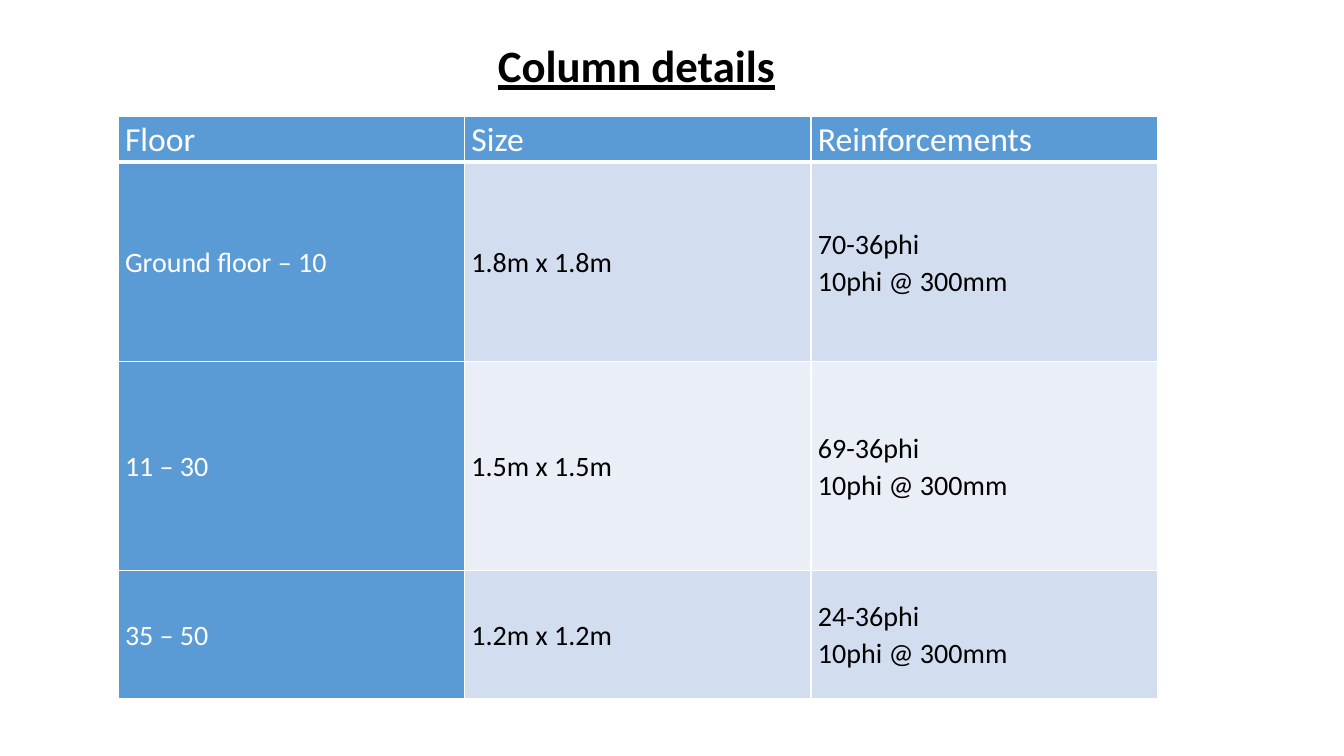
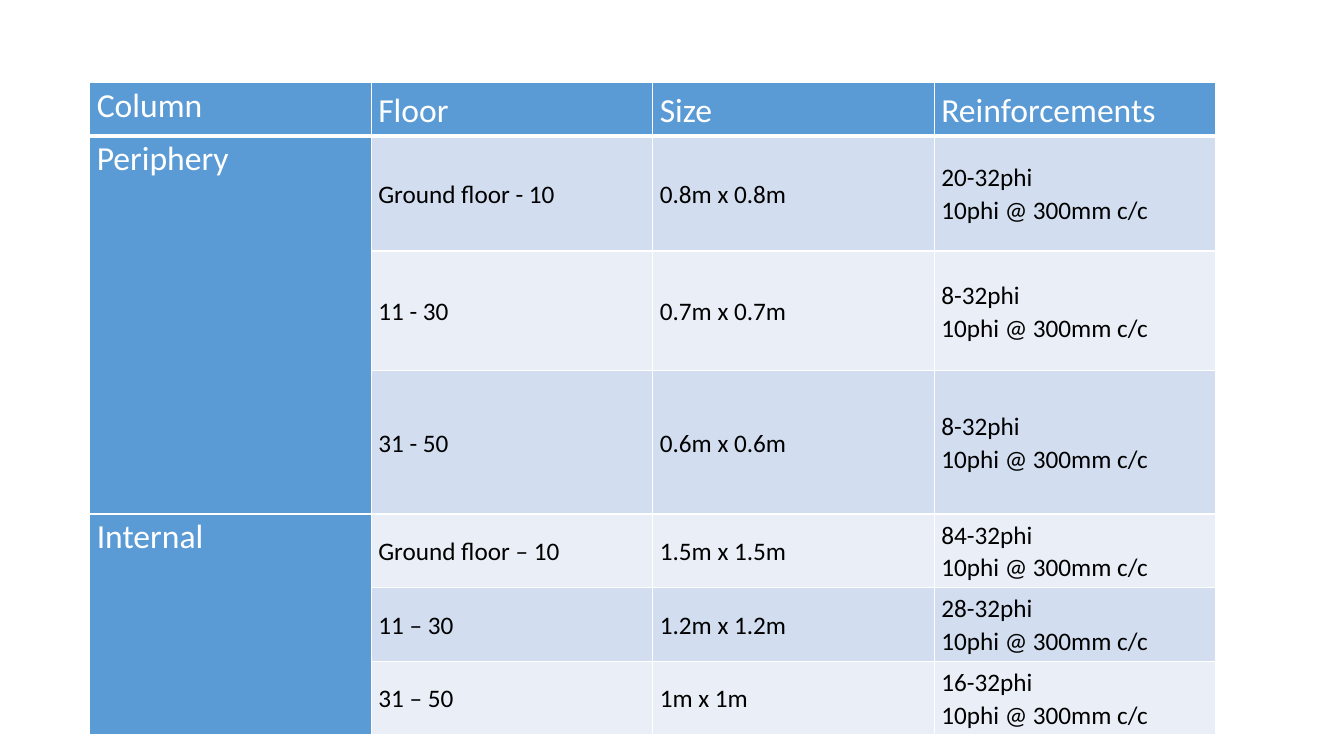
from lxml import etree
from pptx import Presentation
from pptx.dml.color import RGBColor
from pptx.enum.text import MSO_ANCHOR, MSO_AUTO_SIZE
from pptx.oxml.ns import qn
from pptx.util import Pt

TOP, MIDDLE = MSO_ANCHOR.TOP, MSO_ANCHOR.MIDDLE
GROW = MSO_AUTO_SIZE.SHAPE_TO_FIT_TEXT

# Shared style
EMU_PER_PX = 9144
SLIDE_W, SLIDE_H = 1333, 750
FONT = "Calibri"
BLUE, WHITE, BLACK = "5B9BD5", "FFFFFF", "000000"
BANDS = ("D2DEEF", "EAEFF7")
HEADING_SIZE = 24
CELL_INSET = 7
THIN, THICK = 1, 3

# Content: each position is left, top, width; None continues the cell above
SLIDES = [
    {
        "title": "Column details",
        "title_at": (484, 33, 297, 64),
        "at": (117, 115, 1031),
        "heights": (46, 198, 207, 127),
        "body_size": 20,
        "grouped": False,
        "rows": [
            ("Floor", "Size", "Reinforcements"),
            ("Ground floor – 10", "1.8m x 1.8m", "70-36phi\n10phi @ 300mm"),
            ("11 – 30", "1.5m x 1.5m", "69-36phi\n10phi @ 300mm"),
            ("35 – 50", "1.2m x 1.2m", "24-36phi\n10phi @ 300mm"),
        ],
    },
    {
        "at": (89, 82, 1117),
        "heights": (53, 114, 119, 142, 73, 73, 73),
        "body_size": 18,
        "grouped": True,
        "rows": [
            ("Column", "Floor", "Size", "Reinforcements"),
            ("Periphery", "Ground floor - 10", "0.8m x 0.8m", "20-32phi\n10phi @ 300mm c/c"),
            (None, "11 - 30", "0.7m x 0.7m", "8-32phi\n10phi @ 300mm c/c"),
            (None, "31 - 50", "0.6m x 0.6m", "8-32phi\n10phi @ 300mm c/c"),
            ("Internal", "Ground floor – 10", "1.5m x 1.5m", "84-32phi\n10phi @ 300mm c/c"),
            (None, "11 – 30", "1.2m x 1.2m", "28-32phi\n10phi @ 300mm c/c"),
            (None, "31 – 50", "1m x 1m", "16-32phi\n10phi @ 300mm c/c"),
        ],
    },
]


def px(length):
    return round(length * EMU_PER_PX)


def colour(code):
    return RGBColor.from_string(code)


def write(frame, text, size, color=BLACK, bold=False, underline=False,
          line_spacing=None, space_after=None):
    paragraph = frame.paragraphs[0]
    paragraph.text = text.replace("\n", "\v")
    paragraph.line_spacing = line_spacing
    if space_after is not None:
        paragraph.space_after = Pt(space_after)
    for run in paragraph.runs:
        font = run.font
        font.name, font.size = FONT, Pt(size)
        font.bold, font.underline = bold, underline
        font.color.rgb = colour(color)


def add_borders(cell, bottom):
    properties = cell._tc.get_or_add_tcPr()
    for side, width in (("L", THIN), ("R", THIN), ("T", THIN), ("B", bottom)):
        line = etree.SubElement(properties, qn(f"a:ln{side}"), w=str(Pt(width)))
        fill = etree.SubElement(line, qn("a:solidFill"))
        etree.SubElement(fill, qn("a:srgbClr"), val=WHITE)


def add_title(slide, text, at):
    frame = slide.shapes.add_textbox(*map(px, at)).text_frame
    frame.word_wrap = False
    frame.auto_size = GROW
    write(frame, text, 32, bold=True, underline=True)


def add_details(slide, content):
    rows, heights, grouped = content["rows"], content["heights"], content["grouped"]
    left, top, width = content["at"]
    columns = len(rows[0])
    table = slide.shapes.add_table(len(rows), columns, px(left), px(top),
                                   px(width), px(sum(heights))).table
    table.first_row = table.horz_banding = False
    for column in table.columns:
        column.width = px(width / columns)

    for r, (labels, height) in enumerate(zip(rows, heights)):
        table.rows[r].height = px(height)
        for c, label in enumerate(labels):
            cell = table.cell(r, c)
            header, side = r == 0, c == 0
            blue = header or side
            group = side and grouped
            add_borders(cell, THICK if header else THIN)
            cell.fill.solid()
            cell.fill.fore_color.rgb = colour(BLUE if blue else BANDS[(r - 1) % 2])
            cell.margin_left = cell.margin_right = px(CELL_INSET)
            cell.margin_top = cell.margin_bottom = 0
            cell.vertical_anchor = TOP if group else MIDDLE
            if label is not None:
                write(cell.text_frame, label,
                      HEADING_SIZE if header or group else content["body_size"],
                      color=WHITE if blue else BLACK,
                      line_spacing=1.07, space_after=8)

    # Join each group label with the empty cells below it
    starts = [r for r, labels in enumerate(rows) if labels[0] is not None]
    for start, end in zip(starts, starts[1:] + [len(rows)]):
        if end - start > 1:
            table.cell(start, 0).merge(table.cell(end - 1, 0))


def main():
    deck = Presentation()
    deck.slide_width, deck.slide_height = px(SLIDE_W), px(SLIDE_H)
    blank = deck.slide_layouts[6]
    for content in SLIDES:
        slide = deck.slides.add_slide(blank)
        add_details(slide, content)
        if "title" in content:
            add_title(slide, content["title"], content["title_at"])
    deck.save("out.pptx")


if __name__ == "__main__":
    main()
